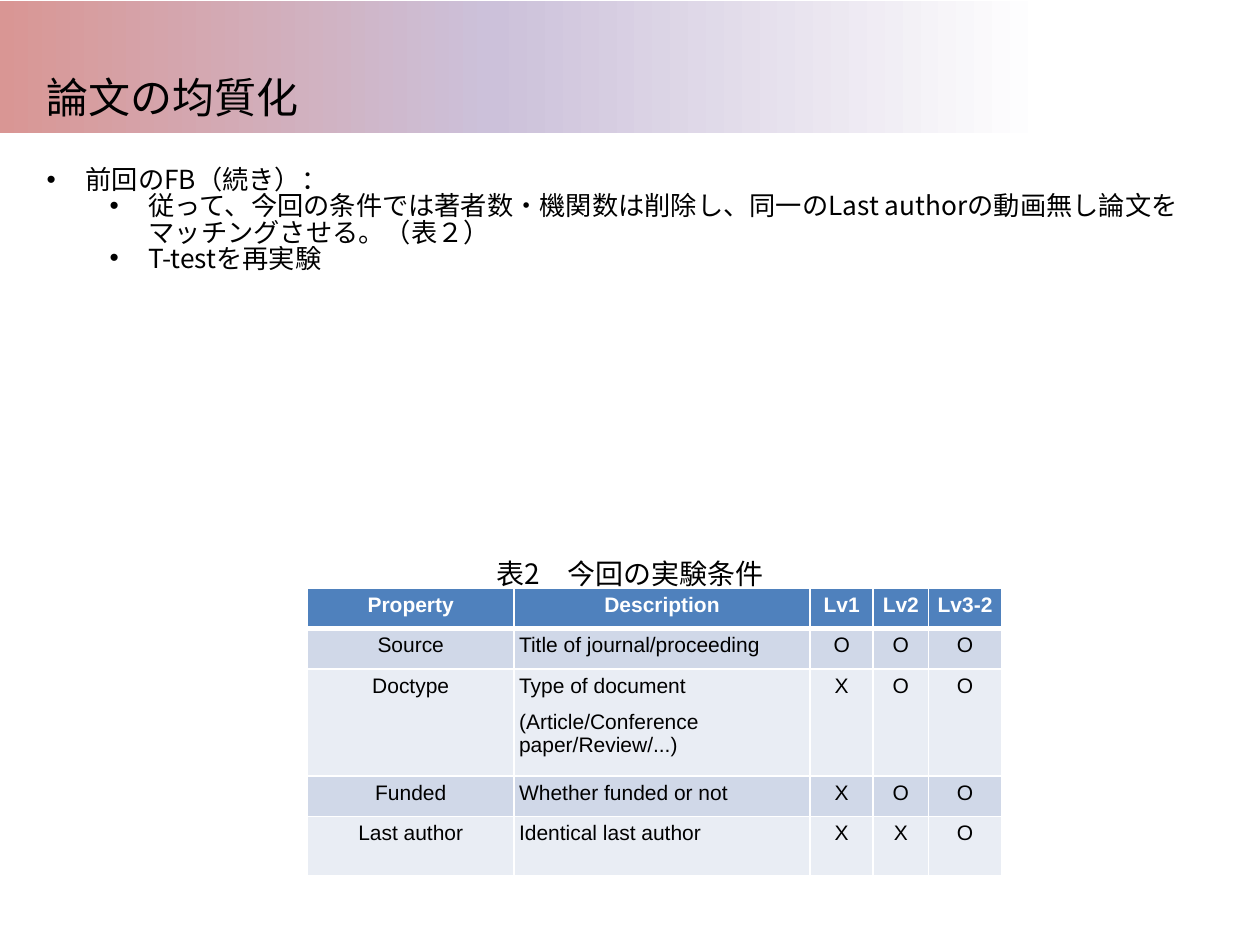
from lxml.etree import SubElement as Sub
from pptx import Presentation
from pptx.dml.color import RGBColor
from pptx.enum.shapes import MSO_SHAPE as Shape
from pptx.enum.text import MSO_ANCHOR as Anchor, MSO_AUTO_SIZE as Auto, PP_ALIGN as Align
from pptx.oxml.ns import qn
from pptx.util import Inches, Pt

TITLE = "論文の均質化"
POINTS = [
    (0, ["前回の", "FB", "（続き）："]),
    (1, ["従って、今回の条件では著者数・機関数は削除し、同一の", "Last author",
         "の動画無し論文をマッチングさせる。（表２）"]),
    (1, ["T-test", "を再実験"]),
]
CAPTION = ["表", "2", "\u3000今回の実験条件"]
ROWS = [
    ["Property", "Description", "Lv1", "Lv2", "Lv3-2"],
    ["Source", "Title of journal/proceeding", "O", "O", "O"],
    ["Doctype", "Type of document\n(Article/Conference paper/Review/...)", "X", "O", "O"],
    ["Funded", "Whether funded or not", "X", "O", "O"],
    ["Last author", "Identical last author", "X", "X", "O"],
]
WIDTHS = [1.64, 2.35, 0.5, 0.44, 0.58]
HEIGHTS = [0.32, 0.32, 0.85, 0.32, 0.47]
INDENTS = [0.31, 0.81]
HANG = 0.31
STOPS = [(0, "rose"), (39, "lilac"), (83, "white"), (100, "white")]
COLORS = {"rose": "D99694", "lilac": "CCC1DA", "white": "FFFFFF", "black": "000000",
          "head": "4F81BD", "odd": "D0D8E8", "even": "E9EDF4"}
CJK, LATIN = "Noto Sans CJK JP", "Arial"


def color(name):
    return RGBColor.from_string(COLORS[name])


def place(shape, *box):
    shape.left, shape.top, shape.width, shape.height = map(Inches, box)


def write(para, texts, size, face=CJK, ink="black", bold=False):
    for text in texts:
        run = para.add_run()
        run.text = text
        font = run.font
        font.size, font.name, font.bold = Pt(size), face, bold
        font.color.rgb = color(ink)
        Sub(font._element, qn("a:ea"), typeface=face)


def add_band(slide):
    band = slide.shapes.add_shape(Shape.RECTANGLE, 0, Inches(0.01), Inches(10), Inches(1.05))
    band.shadow.inherit = False
    band.line.fill.background()
    band.fill.gradient()
    band.fill.gradient_angle = 0
    stops = band._element.spPr.find(".//" + qn("a:gsLst"))
    for stop in list(stops):
        stops.remove(stop)
    for pos, name in STOPS:
        stop = Sub(stops, qn("a:gs"), pos=str(pos * 1000))
        Sub(stop, qn("a:srgbClr"), val=COLORS[name])
    slide.shapes._spTree.insert(2, band._element)


def add_title(slide):
    title = slide.shapes.title
    place(title, 0.27, 0.14, 9.48, 0.88)
    frame = title.text_frame
    frame.auto_size, frame.vertical_anchor = Auto.NONE, Anchor.BOTTOM
    para = frame.paragraphs[0]
    para.alignment = Align.LEFT
    para.line_spacing = 0.9
    write(para, [TITLE], 24)


def add_points(slide):
    body = slide.placeholders[1]
    place(body, 0.27, 1.29, 9.32, 5.83)
    frame = body.text_frame
    frame.auto_size = Auto.NONE
    for i, (level, texts) in enumerate(POINTS):
        para = frame.add_paragraph() if i else frame.paragraphs[0]
        para.level = level
        para.space_before = Pt(0)
        para.line_spacing = 0.83
        props = para._p.get_or_add_pPr()
        props.set("marL", str(Inches(INDENTS[level])))
        props.set("indent", str(-Inches(HANG)))
        Sub(props, qn("a:buFont"), typeface=LATIN)
        Sub(props, qn("a:buChar"), char="•")
        write(para, texts, 15)


def add_caption(slide):
    box = slide.shapes.add_textbox(Inches(1.7), Inches(4.26), Inches(6.6), Inches(0.45))
    frame = box.text_frame
    frame.word_wrap, frame.vertical_anchor = True, Anchor.MIDDLE
    para = frame.paragraphs[0]
    para.alignment, para.line_spacing = Align.CENTER, 1.5
    write(para, CAPTION, 16)


def edge(cell, side, width):
    line = Sub(cell._tc.get_or_add_tcPr(), qn("a:ln" + side), w=str(Pt(width)))
    Sub(Sub(line, qn("a:solidFill")), qn("a:srgbClr"), val=COLORS["white"])


def fill_cell(cell, text, row, col):
    head = row == 0
    cell.margin_left = cell.margin_right = Inches(0.04)
    cell.margin_top = cell.margin_bottom = Inches(0.04)
    for side in "LRTB":
        thick = (head and side == "B") or (row == 1 and side == "T")
        edge(cell, side, 3 if thick else 1)
    cell.fill.solid()
    cell.fill.fore_color.rgb = color("head" if head else "odd" if row % 2 else "even")
    for i, part in enumerate(text.split("\n")):
        frame = cell.text_frame
        para = frame.add_paragraph() if i else frame.paragraphs[0]
        para.alignment = Align.LEFT if col == 1 and not head else Align.CENTER
        para.space_after = Pt(7.2)
        write(para, [part], 12, LATIN, "white" if head else "black", head)


def add_grid(slide):
    grid = slide.shapes.add_table(len(ROWS), len(WIDTHS), Inches(2.44), Inches(4.67),
                                  Inches(sum(WIDTHS)), Inches(sum(HEIGHTS))).table
    for col, width in zip(grid.columns, WIDTHS):
        col.width = Inches(width)
    for r, (row, height) in enumerate(zip(ROWS, HEIGHTS)):
        grid.rows[r].height = Inches(height)
        for c, text in enumerate(row):
            fill_cell(grid.cell(r, c), text, r, c)


def main():
    deck = Presentation()
    deck.slide_width, deck.slide_height = Inches(10), Inches(7.5)
    slide = deck.slides.add_slide(deck.slide_layouts[1])
    add_band(slide)
    add_title(slide)
    add_points(slide)
    add_caption(slide)
    add_grid(slide)
    deck.save("out.pptx")


if __name__ == "__main__":
    main()
